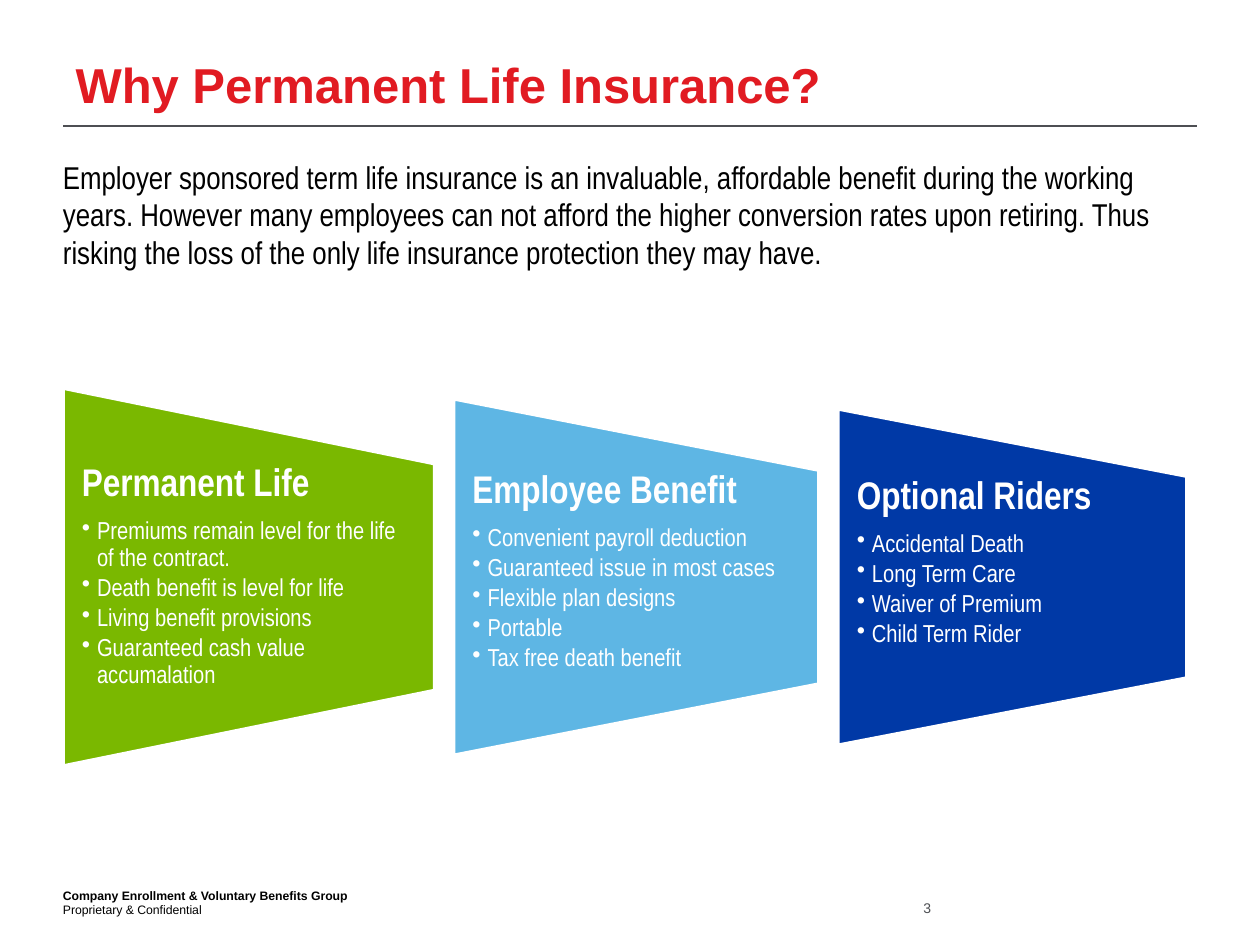
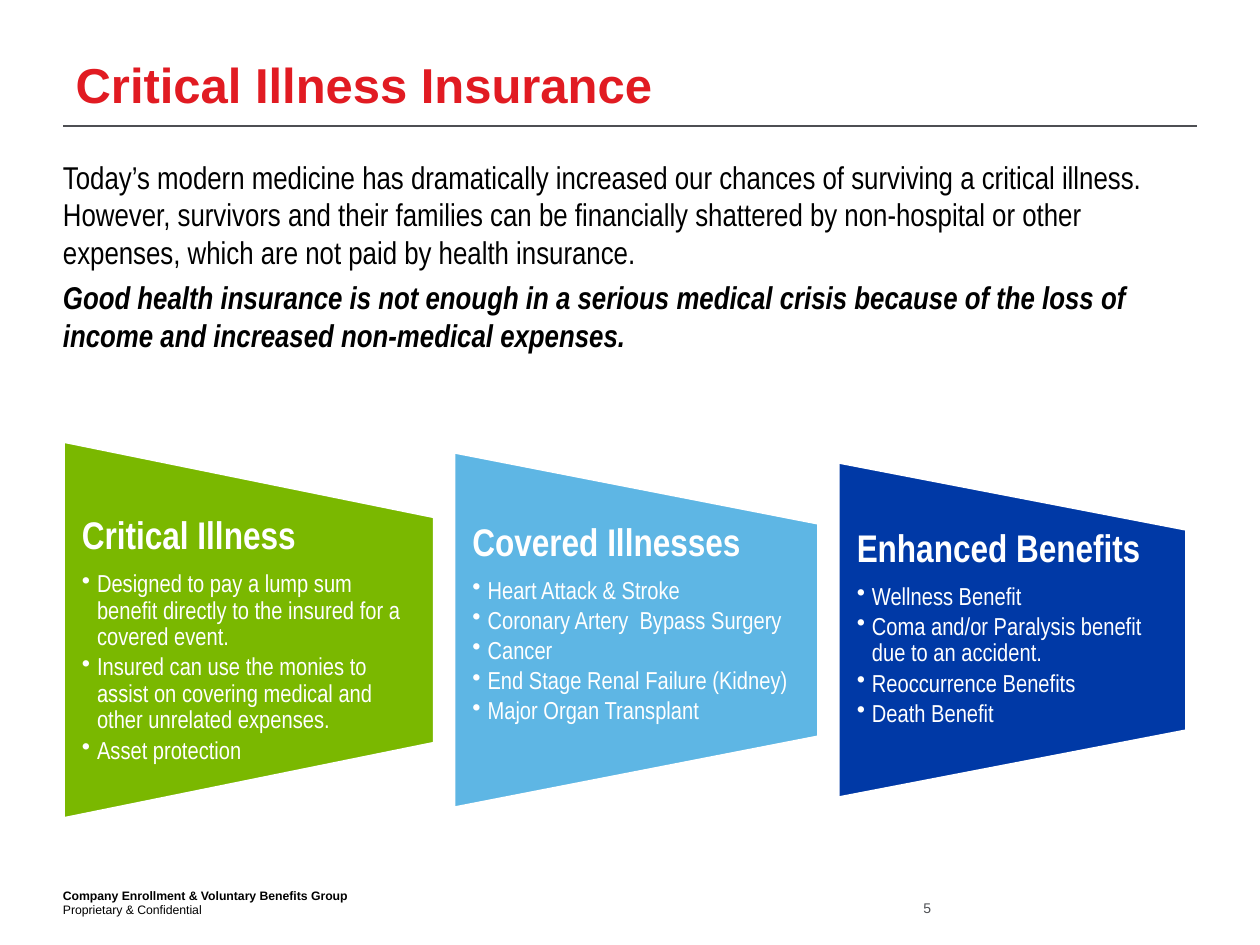
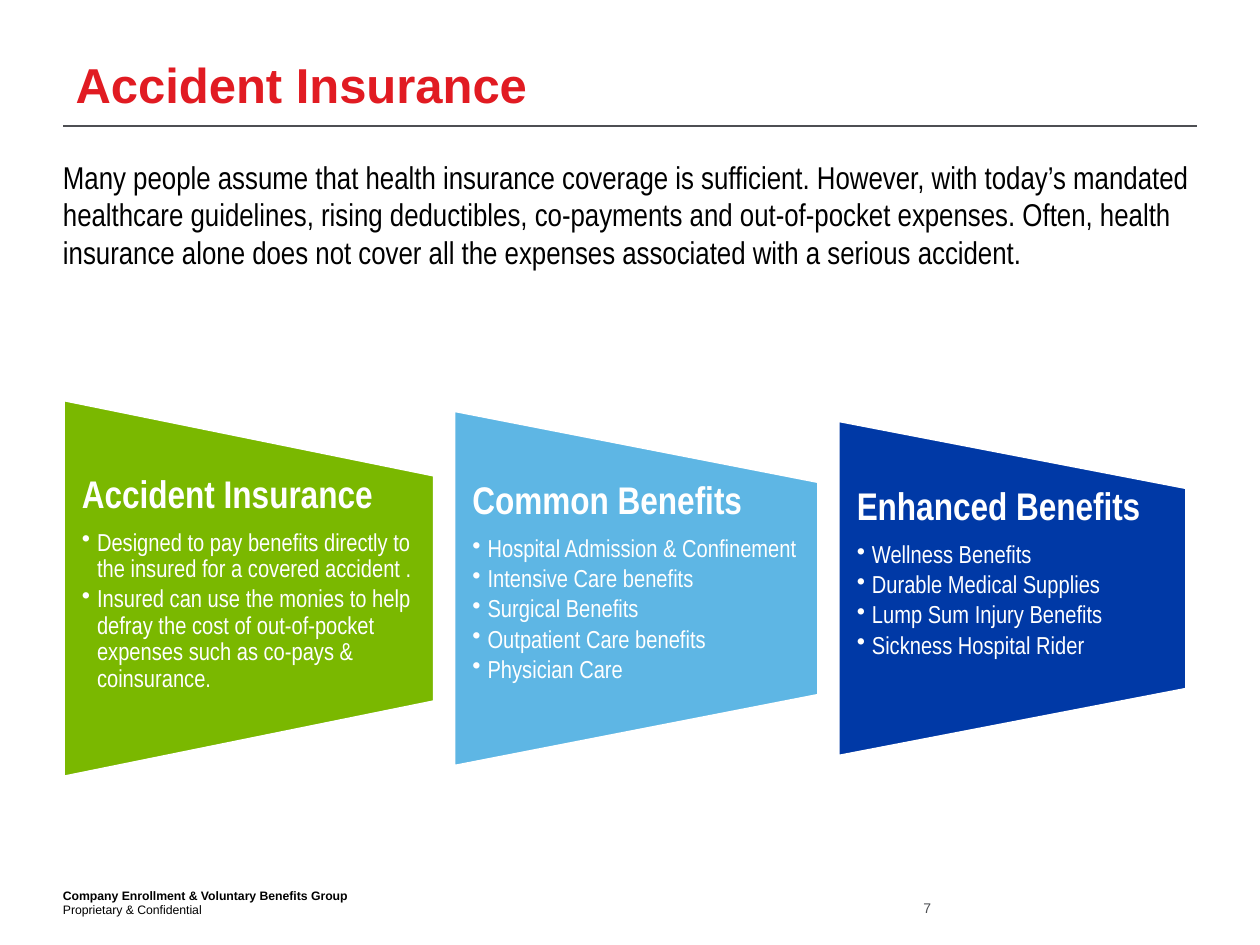
from lxml import etree
from pptx import Presentation
from pptx.dml.color import RGBColor
from pptx.enum.shapes import MSO_CONNECTOR, MSO_SHAPE
from pptx.enum.text import MSO_ANCHOR, MSO_AUTO_SIZE, PP_ALIGN
from pptx.oxml.ns import qn
from pptx.util import Inches, Pt

STRAIGHT = MSO_CONNECTOR.STRAIGHT
TRAPEZOID = MSO_SHAPE.FLOWCHART_MANUAL_OPERATION
TOP, BOTTOM = MSO_ANCHOR.TOP, MSO_ANCHOR.BOTTOM
LEFT, RIGHT = PP_ALIGN.LEFT, PP_ALIGN.RIGHT
NO_AUTOFIT = MSO_AUTO_SIZE.NONE
TITLE_ONLY = 5

# The slide is a grid of 100 columns by 75 rows, each a tenth of an inch
COLUMNS, ROWS = 100, 75
MARGIN = 5
CONTENT_WIDTH = COLUMNS - 2 * MARGIN

RED, GRAY, BLACK, WHITE = "E11B22", "4D4F53", "000000", "FFFFFF"
SANS, NARROW = "Arial", "Arial Narrow"

# Panels from left to right: fill, width in columns, height in rows
PANELS = [("7AB800", 29.5, 30), ("5EB6E4", 29, 28.3), ("0039A6", 27.7, 26.7)]
PANEL_GAP = 1.5
TEXT_SHARE = 0.6  # height of a panel's text against the panel's height

# Each slide: number, title, introduction, emphasis, middle row of panels, panels
SLIDES = [
    (3, "Why Permanent Life Insurance?",
     "Employer sponsored term life insurance is an invaluable, affordable benefit "
     "during the working years. However many employees can not afford the higher "
     "conversion rates upon retiring. Thus risking the loss of the only life "
     "insurance protection they may have.", None, 45.8, [
         ("Permanent Life", [
             "Premiums remain level for the life of the contract.",
             "Death benefit is level for life",
             "Living benefit provisions",
             "Guaranteed cash value accumalation"]),
         ("Employee Benefit", [
             "Convenient payroll deduction",
             "Guaranteed issue in most cases",
             "Flexible plan designs",
             "Portable",
             "Tax free death benefit"]),
         ("Optional Riders", [
             "Accidental Death",
             "Long Term Care",
             "Waiver of Premium",
             "Child Term Rider"])]),
    (5, "Critical Illness Insurance",
     "Today’s modern medicine has dramatically increased our chances of surviving "
     "a critical illness. However, survivors and their families can be financially "
     "shattered by non-hospital or other expenses, which are not paid by health "
     "insurance.",
     "Good health insurance is not enough in a serious medical crisis because of "
     "the loss of income and increased non-medical expenses.", 50, [
         ("Critical Illness", [
             "Designed to pay a lump sum benefit directly to the insured for a "
             "covered event.",
             "Insured can use the monies to assist on covering medical and other "
             "unrelated expenses.",
             "Asset protection"]),
         ("Covered Illnesses", [
             "Heart Attack & Stroke",
             "Coronary Artery  Bypass Surgery",
             "Cancer",
             "End Stage Renal Failure (Kidney)",
             "Major Organ Transplant"]),
         ("Enhanced Benefits", [
             "Wellness Benefit",
             "Coma and/or Paralysis benefit due to an accident.",
             "Reoccurrence Benefits",
             "Death Benefit"])]),
    (7, "Accident Insurance",
     "Many people assume that health insurance coverage is sufficient. However, "
     "with today’s mandated healthcare guidelines, rising deductibles, co-payments "
     "and out-of-pocket expenses. Often, health insurance alone does not cover all "
     "the expenses associated with a serious accident.", None, 46.7, [
         ("Accident Insurance", [
             "Designed to pay benefits directly to the insured for a covered "
             "accident .",
             "Insured can use the monies to help defray the cost of out-of-pocket "
             "expenses such as co-pays & coinsurance."]),
         ("Common Benefits", [
             "Hospital Admission & Confinement",
             "Intensive Care benefits",
             "Surgical Benefits",
             "Outpatient Care benefits",
             "Physician Care"]),
         ("Enhanced Benefits", [
             "Wellness Benefits",
             "Durable Medical Supplies",
             "Lump Sum Injury Benefits",
             "Sickness Hospital Rider"])]),
]


def grid(count):
    return Inches(count / 10)


def color(value):
    return RGBColor.from_string(value)


def format_paragraph(para, font, size, ink, bold=False, italic=False, align=LEFT):
    para.alignment = align
    for span in para.runs:
        span.font.name = font
        span.font.size = Pt(size)
        span.font.bold = bold
        span.font.italic = italic
        span.font.color.rgb = color(ink)


def add_text(page, left, top, width, height, lines, anchor=TOP, side_inset=0):
    """Add a wrapped text box with one paragraph per line; return the paragraphs."""
    box = page.shapes.add_textbox(*map(grid, (left, top, width, height)))
    frame = box.text_frame
    frame.word_wrap = True
    frame.vertical_anchor = anchor
    frame.margin_top = frame.margin_bottom = 0
    frame.margin_left = frame.margin_right = grid(side_inset)
    frame.text = "\n".join(lines)
    return frame.paragraphs


def add_bullet(para):
    para.level = 1
    properties = para._p.get_or_add_pPr()
    properties.set("marL", str(grid(1.2)))
    properties.set("indent", str(-grid(1.2)))
    etree.SubElement(properties, qn("a:buChar")).set("char", "•")


def set_title(page, text):
    title = page.shapes.title
    title.left, title.top = grid(MARGIN), grid(3.3)
    title.width, title.height = grid(CONTENT_WIDTH), grid(5.7)
    frame = title.text_frame
    frame.text = text
    frame.word_wrap = True
    frame.auto_size = NO_AUTOFIT
    frame.vertical_anchor = TOP
    frame.margin_top = grid(1)
    format_paragraph(frame.paragraphs[0], SANS, 28, RED, bold=True)


def add_title_rule(page):
    rule = page.shapes.add_connector(
        STRAIGHT, grid(MARGIN), grid(10), grid(COLUMNS - MARGIN), grid(10))
    rule.line.color.rgb = color(GRAY)
    rule.line.width = Pt(0.75)
    etree.SubElement(rule._element.spPr, qn("a:effectLst"))


def add_footer(page, number):
    owner, notice = add_text(
        page, MARGIN, 70.4, 65, 2.4,
        ["Company Enrollment & Voluntary Benefits Group",
         "Proprietary & Confidential"], BOTTOM)
    format_paragraph(owner, SANS, 7, BLACK, bold=True)
    format_paragraph(notice, SANS, 7, BLACK)
    page_number = add_text(page, 70, 71.4, 3.9, 1.3, [str(number)], BOTTOM)[0]
    format_paragraph(page_number, SANS, 8, GRAY, align=RIGHT)


def add_introduction(page, introduction, emphasis):
    lines = [introduction, emphasis] if emphasis else [introduction]
    paragraphs = add_text(page, MARGIN, 12.5, CONTENT_WIDTH, 54.1, lines)
    for index, para in enumerate(paragraphs):
        strong = index > 0
        format_paragraph(para, NARROW, 18, BLACK, bold=strong, italic=strong)
        para.space_before = Pt(4)


def add_panel(page, left, middle, width, height, fill, heading, items):
    # The preset is turned a quarter, so its own width is the panel's height
    panel = page.shapes.add_shape(
        TRAPEZOID, grid(left + (width - height) / 2), grid(middle - width / 2),
        grid(height), grid(width))
    panel.rotation = 270
    panel.shadow.inherit = False
    panel.fill.solid()
    panel.fill.fore_color.rgb = color(fill)
    panel.line.color.rgb = color(WHITE)
    panel.line.width = Pt(2)

    text_height = height * TEXT_SHARE
    paragraphs = add_text(page, left, middle - text_height / 2, width, text_height,
                          [heading, *items], side_inset=1.5)
    for index, para in enumerate(paragraphs):
        is_heading = index == 0
        size, space_share = (22, 0.35) if is_heading else (14, 0.15)
        format_paragraph(para, NARROW, size, WHITE, bold=is_heading)
        para.line_spacing = 0.9
        para.space_after = Pt(size * space_share)
        if not is_heading:
            add_bullet(para)


def add_panels(page, middle, contents):
    left = MARGIN
    for (fill, width, height), (heading, items) in zip(PANELS, contents):
        add_panel(page, left, middle, width, height, fill, heading, items)
        left += width + PANEL_GAP


def main():
    deck = Presentation()
    deck.slide_width, deck.slide_height = grid(COLUMNS), grid(ROWS)
    for number, title, introduction, emphasis, middle, contents in SLIDES:
        page = deck.slides.add_slide(deck.slide_layouts[TITLE_ONLY])
        add_title_rule(page)
        add_footer(page, number)
        set_title(page, title)
        add_introduction(page, introduction, emphasis)
        add_panels(page, middle, contents)
    deck.save("out.pptx")


if __name__ == "__main__":
    main()
